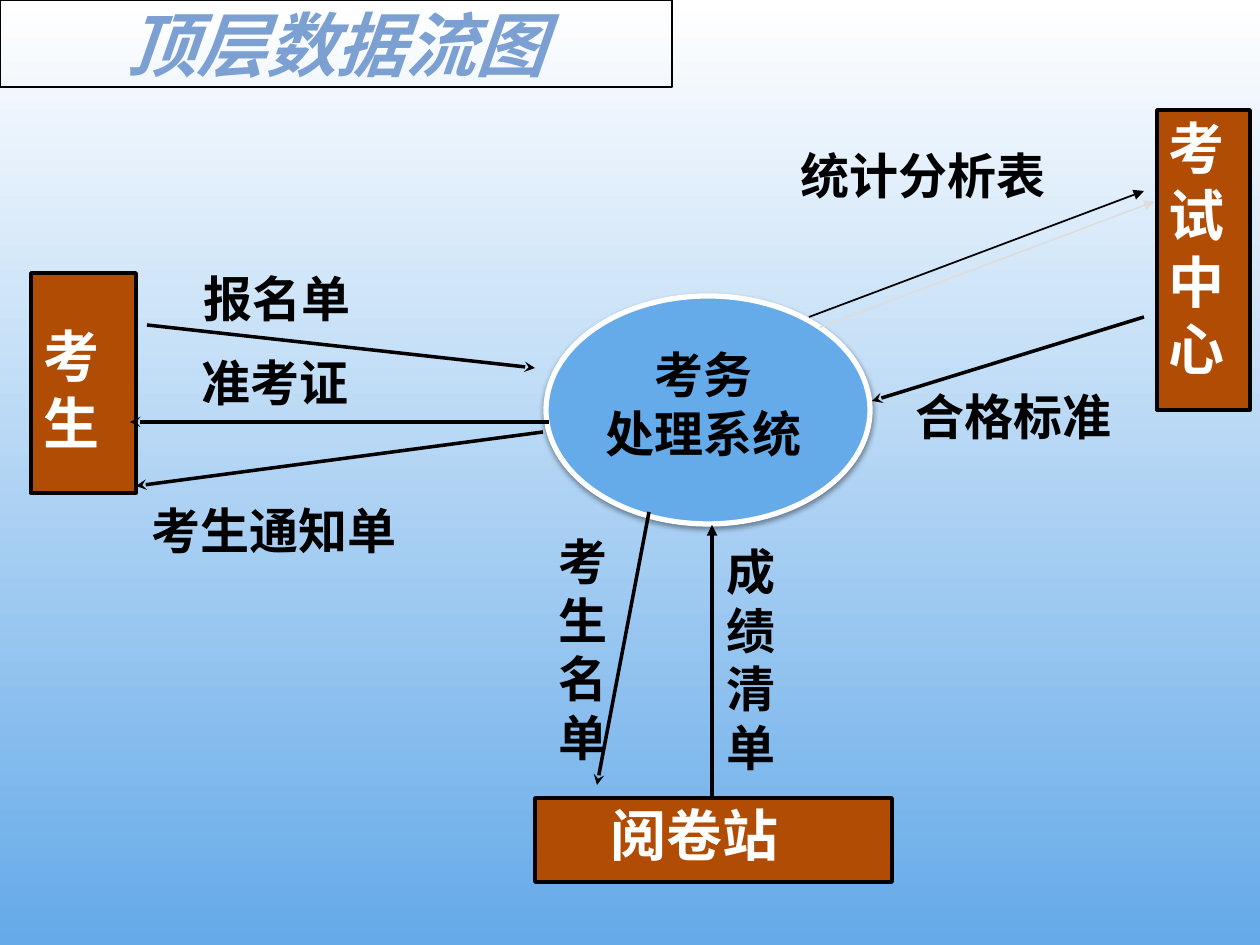
from dataclasses import dataclass
from lxml import etree
from pptx import Presentation
from pptx.dml.color import RGBColor as Rgb
from pptx.enum import shapes as sh, text as tx
from pptx.oxml import ns
from pptx.util import Emu, Pt


@dataclass(frozen=True)
class Theme:
    ink: str = "000000"
    pale: str = "FFFFFF"
    sky: str = "65AAE9"
    rust: str = "B04C03"
    blue: str = "7DA0D3"
    gray: str = "DDDDDD"
    head: int = 40
    name: int = 32
    flow: int = 28
    latin: str = "Arial"
    han: str = "Noto Sans CJK SC"


T = Theme()


def px(n):
    return Emu(round(n * 914400 / 126))


def rgb(hue):
    return Rgb.from_string(hue)


def sub(node, tag, **kw):
    return etree.SubElement(node, ns.qn(tag), {k: str(v) for k, v in kw.items()})


def shade(part, hue, alpha, blur, dist, angle):
    prop = part._element.spPr
    node = prop.find(ns.qn("a:effectLst"))
    if node is None:
        node = sub(prop, "a:effectLst")
    drop = sub(node, "a:outerShdw", blurRad=Pt(blur), dist=Pt(dist),
               dir=angle * 60000, algn="ctr", rotWithShape=0)
    sub(sub(drop, "a:srgbClr", val=hue), "a:alpha", val=alpha * 1000)


def style(frame, size, hue, face, align, slant=None):
    for para in frame.paragraphs:
        para.alignment = align
        for run in para.runs:
            font = run.font
            font.size, font.name = Pt(size), face
            font.bold, font.italic = True, slant
            font.color.rgb = rgb(hue)
            sub(run._r.get_or_add_rPr(), "a:ea", typeface=T.han)


def label(page, x, y, w, h, words, size=T.flow, hue=T.ink,
          align=tx.PP_ALIGN.LEFT):
    frame = page.shapes.add_textbox(px(x), px(y), px(w), px(h)).text_frame
    frame.word_wrap = True
    frame.text = words
    style(frame, size, hue, T.han, align)


def block(page, x, y, w, h, kind=sh.MSO_SHAPE.RECTANGLE,
          fill=T.rust, edge=T.ink, wide=2):
    part = page.shapes.add_shape(kind, px(x), px(y), px(w), px(h))
    part.shadow.inherit = False
    part.fill.solid()
    part.fill.fore_color.rgb = rgb(fill)
    part.line.color.rgb = rgb(edge)
    part.line.width = Pt(wide)
    return part


def arrow(page, x, y, dx, dy, wide=2, tip="stealth", end="a:tailEnd"):
    line = page.shapes.add_connector(sh.MSO_CONNECTOR.STRAIGHT, px(x), px(y),
                                     px(x + dx), px(y + dy))
    line.line.color.rgb = rgb(T.ink)
    line.line.width = Pt(wide)
    sub(line.line._get_or_add_ln(), end, type=tip)
    sub(line._element.spPr, "a:effectLst")
    return line


def title(page, x, y, w, h):
    part = page.shapes.title
    part.left, part.top, part.width, part.height = map(px, (x, y, w, h))
    part.line.color.rgb = rgb(T.ink)
    part.line.width = Pt(0.75)
    frame = part.text_frame
    frame.text = "顶层数据流图"
    frame.vertical_anchor = tx.MSO_ANCHOR.MIDDLE
    style(frame, T.head, T.blue, T.latin, tx.PP_ALIGN.CENTER, True)


def pupil(page, x, y, w, h):
    block(page, x, y, w, h)
    label(page, x, y + 42, w + 12, 147, "考\n生", T.name, T.pale)


def core(page, x, y, w, h):
    oval = block(page, x, y, w, h, sh.MSO_SHAPE.OVAL, T.sky, T.pale, 3)
    shade(oval, T.ink, 38, 3.1, 1.6, 90)
    label(page, x, y + 42, w - 9, 130, "考务\n处理系统", align=tx.PP_ALIGN.CENTER)


def board(page, x, y, w, h):
    block(page, x, y, w, h)
    label(page, x - 1, y - 3, w + 23, 281, "考\n试\n中\n心", T.name, T.pale)


def depot(page, x, y, w, h):
    block(page, x, y, w, h)
    label(page, x + 63, y - 4, 262, 79, "阅卷站", T.name, T.pale)


def west(page, x, y):
    arrow(page, x + 17, y + 63, 388, 43)
    arrow(page, x + 419, y + 160, -419, 0)
    arrow(page, x + 413, y + 170, -407, 54)
    label(page, x + 61, y, 284, 72, "报名单")
    label(page, x + 59, y + 84, 252, 72, "准考证")
    label(page, x + 9, y + 232, 346, 72, "考生通知单")


def south(page, x, y):
    arrow(page, x + 103, y - 13, -52, 273)
    arrow(page, x + 166, y, 0, 272, tip="triangle", end="a:headEnd")
    label(page, x + 168, y + 10, 63, 248, "成\n绩\n清\n单")
    label(page, x, y, 94, 248, "考生名\n单")


def east(page, x, y):
    arrow(page, x + 356, y + 178, -272, 84)
    label(page, x + 115, y + 241, 294, 72, "合格标准")
    line = arrow(page, x + 21, y + 178, 335, -126, 1, "triangle")
    shade(line, T.gray, 100, 0, 8.5, 45)
    label(page, x, y, 325, 72, "统计分析表")


def main():
    deck = Presentation()
    deck.slide_width, deck.slide_height = px(1260), px(945)
    page = deck.slides.add_slide(deck.slide_layouts[5])
    fill = page.background.fill
    fill.gradient()
    fill.gradient_angle = 270
    for stop, hue in zip(fill.gradient_stops, (T.pale, T.sky)):
        stop.color.rgb = rgb(hue)
    title(page, 0, 0, 672, 87)
    pupil(page, 31, 273, 105, 220)
    core(page, 546, 296, 324, 228)
    board(page, 1157, 110, 93, 300)
    depot(page, 535, 798, 357, 84)
    west(page, 130, 262)
    south(page, 546, 525)
    east(page, 788, 139)
    deck.save("out.pptx")


if __name__ == "__main__":
    main()
